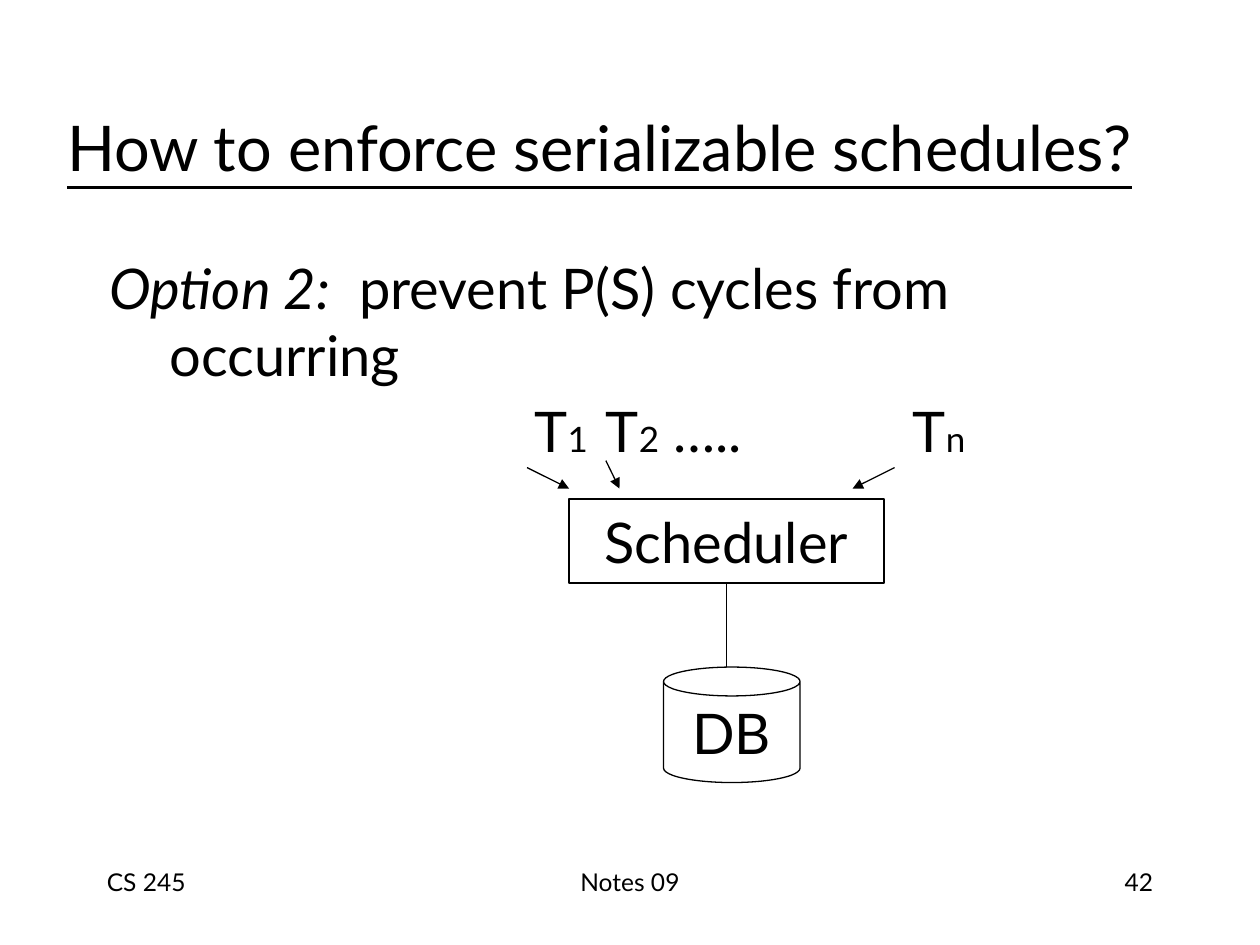
from dataclasses import dataclass

from lxml import etree
from pptx import Presentation
from pptx.dml.color import RGBColor
from pptx.enum.shapes import MSO_CONNECTOR, MSO_SHAPE
from pptx.enum.text import MSO_ANCHOR, MSO_AUTO_SIZE, PP_ALIGN
from pptx.oxml.ns import qn
from pptx.util import Pt

BLACK = RGBColor(0x00, 0x00, 0x00)
WHITE = RGBColor(0xFF, 0xFF, 0xFF)
FONT = "Lato"
FOOTER_SIZE, SUBSCRIPT_SIZE, BODY_SIZE, TITLE_SIZE = 14, 20, 32, 36
LINE_WIDTH = 0.75
LEFT, CENTER, RIGHT = PP_ALIGN.LEFT, PP_ALIGN.CENTER, PP_ALIGN.RIGHT
TOP, MIDDLE = MSO_ANCHOR.TOP, MSO_ANCHOR.MIDDLE
RECTANGLE, CAN = MSO_SHAPE.RECTANGLE, MSO_SHAPE.CAN
STRAIGHT = MSO_CONNECTOR.STRAIGHT
NO_AUTOFIT = MSO_AUTO_SIZE.NONE
BOTTOM_SIDE = 2


@dataclass(frozen=True)
class Box:
    """Position and size in points."""
    left: float
    top: float
    width: float
    height: float

    def lengths(self) -> tuple:
        return Pt(self.left), Pt(self.top), Pt(self.width), Pt(self.height)


@dataclass(frozen=True)
class Footer:
    text: str
    box: Box
    alignment: PP_ALIGN


@dataclass(frozen=True)
class Node:
    text: str
    kind: MSO_SHAPE
    box: Box


@dataclass(frozen=True)
class Link:
    """A straight line between two points, given in points."""
    start: tuple
    end: tuple
    arrow: bool = True


FOOTERS = (
    Footer("CS 245", Box(54, 492, 150, 36), LEFT),
    Footer("Notes 09", Box(246, 492, 228, 36), CENTER),
    Footer("42", Box(516, 492, 150, 36), RIGHT),
)
SCHEDULER = Node("Scheduler", RECTANGLE, Box(325.2, 285.2, 180, 48))
DATABASE = Node("DB", CAN, Box(379.2, 381.2, 78, 66))
SCHEDULER_TO_DATABASE = Link((415.2, 333.2), (415.2, 381.2), arrow=False)
TRANSACTION_ARROWS = (
    Link((301.2, 267.2), (325.2, 279.2)),
    Link((346.2, 263.2), (354, 279.2)),
    Link((511.2, 267.2), (487.2, 279.2)),
)
TITLE_BOX = Box(31.2, 38.7, 630, 90)
BODY_BOX = Box(55.2, 141.2, 612, 324)
LAST_TRANSACTION_BOX = Box(514.5, 223, 60, 46)
OPTION_INDENT = 34.5
TRANSACTION_INDENT = 243


def add_text(paragraph, text: str, *, size: float = BODY_SIZE,
             italic: bool = False, underline: bool = False,
             alignment: PP_ALIGN = LEFT) -> None:
    paragraph.alignment = alignment
    run = paragraph.add_run()
    run.text = text
    font = run.font
    font.name, font.size = FONT, Pt(size)
    font.italic, font.underline = italic, underline
    font.color.rgb = BLACK


def add_transaction(paragraph, subscript: str) -> None:
    add_text(paragraph, "T")
    add_text(paragraph, subscript, size=SUBSCRIPT_SIZE)


def set_indent(paragraph, *, margin: float, first_line: float = 0,
               space_before: float = 0) -> None:
    """Remove the bullet and indent the paragraph."""
    properties = paragraph._p.get_or_add_pPr()
    properties.set("marL", str(Pt(margin)))
    properties.set("indent", str(Pt(first_line)))
    etree.SubElement(properties, qn("a:buNone"))
    paragraph.space_before = Pt(space_before)


def place(shape, box: Box, anchor: MSO_ANCHOR):
    shape.left, shape.top, shape.width, shape.height = box.lengths()
    frame = shape.text_frame
    frame.auto_size = NO_AUTOFIT
    frame.vertical_anchor = anchor
    return frame


def add_text_box(slide, box: Box):
    """Add a wrapping text box and return its first paragraph."""
    frame = slide.shapes.add_textbox(*box.lengths()).text_frame
    frame.word_wrap = True
    return frame.paragraphs[0]


def add_node(slide, node: Node):
    shape = slide.shapes.add_shape(node.kind, *node.box.lengths())
    shape.shadow.inherit = False
    shape.fill.solid()
    shape.fill.fore_color.rgb = WHITE
    shape.line.color.rgb = BLACK
    shape.line.width = Pt(LINE_WIDTH)
    frame = shape.text_frame
    frame.word_wrap = False
    frame.vertical_anchor = MIDDLE
    add_text(frame.paragraphs[0], node.text, alignment=CENTER)
    return shape


def add_link(slide, link: Link):
    points = [Pt(value) for value in link.start + link.end]
    connector = slide.shapes.add_connector(STRAIGHT, *points)
    connector.line.color.rgb = BLACK
    connector.line.width = Pt(LINE_WIDTH)
    if link.arrow:
        etree.SubElement(connector.line._get_or_add_ln(), qn("a:tailEnd"),
                         type="triangle")
    etree.SubElement(connector._element.spPr, qn("a:effectLst"))
    return connector


def main() -> None:
    presentation = Presentation()
    presentation.slide_width, presentation.slide_height = Pt(720), Pt(540)
    slide = presentation.slides.add_slide(presentation.slide_layouts[1])

    # Title
    title = place(slide.shapes.title, TITLE_BOX, MIDDLE)
    add_text(title.paragraphs[0], "How to enforce serializable schedules?",
             size=TITLE_SIZE, underline=True)

    # Option
    body = place(slide.placeholders[1], BODY_BOX, TOP)
    option = body.paragraphs[0]
    set_indent(option, margin=OPTION_INDENT, first_line=-OPTION_INDENT)
    add_text(option, "Option 2:", italic=True)
    add_text(option, "  prevent P(S) cycles from occurring")

    # Row of transactions above the scheduler
    transactions = body.add_paragraph()
    set_indent(transactions, margin=TRANSACTION_INDENT, space_before=5)
    add_transaction(transactions, "1  ")
    add_transaction(transactions, "2")
    add_text(transactions, " …..")
    add_transaction(add_text_box(slide, LAST_TRANSACTION_BOX), "n")

    # Scheduler diagram
    scheduler = add_node(slide, SCHEDULER)
    add_node(slide, DATABASE)
    database_link = add_link(slide, SCHEDULER_TO_DATABASE)
    database_link.begin_connect(scheduler, BOTTOM_SIDE)
    for arrow in TRANSACTION_ARROWS:
        add_link(slide, arrow)

    # Footer
    for footer in FOOTERS:
        add_text(add_text_box(slide, footer.box), footer.text,
                 size=FOOTER_SIZE, alignment=footer.alignment)

    presentation.save("out.pptx")


if __name__ == "__main__":
    main()
